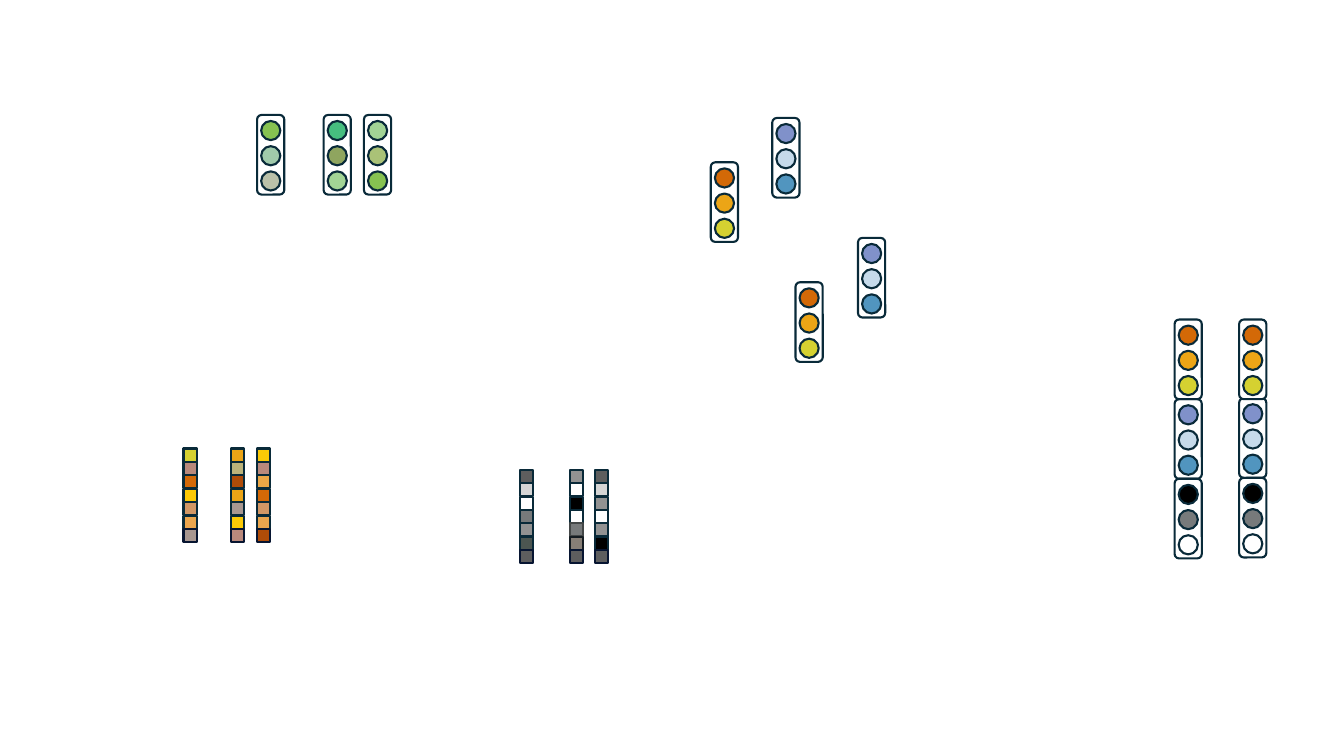
from pptx import Presentation
from pptx.dml.color import RGBColor
from pptx.enum.shapes import MSO_SHAPE as SHAPE
from pptx.util import Inches, Pt

WHITE = RGBColor(0xFF, 0xFF, 0xFF)
BLACK = RGBColor(0x00, 0x00, 0x00)
NAVY = RGBColor(0x09, 0x2A, 0x39)
MIDNIGHT = RGBColor(0x07, 0x15, 0x31)
GRAPHITE = RGBColor(0x43, 0x47, 0x47)
INK = RGBColor(0x15, 0x1D, 0x23)
GRASS = RGBColor(0x86, 0xC2, 0x51)
SAGE = RGBColor(0xA0, 0xCA, 0xAB)
STONE = RGBColor(0xBA, 0xC1, 0xA9)
JADE = RGBColor(0x46, 0xBE, 0x7F)
OLIVE = RGBColor(0x8F, 0xA5, 0x5F)
MINT = RGBColor(0xA2, 0xD4, 0x95)
MOSS = RGBColor(0xAA, 0xC2, 0x77)
ORANGE = RGBColor(0xD3, 0x69, 0x07)
AMBER = RGBColor(0xEC, 0xA5, 0x16)
LIME = RGBColor(0xD5, 0xD1, 0x31)
PERIWINKLE = RGBColor(0x80, 0x91, 0xCA)
ICE = RGBColor(0xC6, 0xDA, 0xEA)
BLUE = RGBColor(0x51, 0x95, 0xBF)
ROSE = RGBColor(0xB9, 0x89, 0x7C)
YELLOW = RGBColor(0xFB, 0xCA, 0x06)
TAN = RGBColor(0xD2, 0x97, 0x65)
APRICOT = RGBColor(0xEB, 0xA6, 0x4E)
HONEY = RGBColor(0xEB, 0xA7, 0x46)
TAUPE = RGBColor(0xA8, 0x97, 0x90)
KHAKI = RGBColor(0xBC, 0xB3, 0x7A)
RUST = RGBColor(0xAF, 0x4C, 0x08)
SILVER = RGBColor(0xD5, 0xD5, 0xD5)
GREY = RGBColor(0x92, 0x92, 0x92)
STEEL = RGBColor(0x77, 0x7A, 0x7B)
CHARCOAL = RGBColor(0x5E, 0x5E, 0x5E)
PEWTER = RGBColor(0x87, 0x7F, 0x77)
SLATE = RGBColor(0x4C, 0x56, 0x51)

WARM = (ORANGE, AMBER, LIME)
COOL = (PERIWINKLE, ICE, BLUE)
MONO = (BLACK, STEEL, WHITE)

CAPSULE_GROUPS = [
    [(2.55, 1.14, (GRASS, SAGE, STONE))],
    [(3.21, 1.14, (JADE, OLIVE, MINT))],
    [(3.61, 1.14, (MINT, MOSS, GRASS))],
    [(7.05, 1.61, WARM)],
    [(7.66, 1.17, COOL)],
    [(7.89, 2.8, WARM), (8.51, 2.36, COOL)],
    [(11.65, 3.96, COOL)],
    [(11.65, 3.17, WARM)],
    [(11.65, 4.75, MONO)],
    [(12.29, 3.95, COOL), (12.29, 3.17, WARM), (12.29, 4.74, MONO)],
]

STRIP_GROUPS = [
    (4.45, [
        (1.82, (LIME, ROSE, ORANGE, YELLOW, TAN, APRICOT, TAUPE)),
        (2.29, (AMBER, KHAKI, RUST, AMBER, TAUPE, YELLOW, ROSE)),
        (2.55, (YELLOW, ROSE, HONEY, ORANGE, TAN, APRICOT, RUST)),
    ]),
    (4.66, [
        (5.65, (GREY, WHITE, BLACK, WHITE, STEEL, PEWTER, CHARCOAL)),
        (5.9, (CHARCOAL, SILVER, GREY, WHITE, GREY, BLACK, CHARCOAL)),
        (5.16, (CHARCOAL, SILVER, WHITE, STEEL, GREY, SLATE, CHARCOAL)),
    ]),
]
CELL_BORDERS = {PEWTER: INK}
STEEL_CELL = (5.65, 4)

CAPSULE_W, CAPSULE_H = 0.27, 0.79
DOT, DOT_PITCH, DOT_LEFT, DOT_TOP = 0.19, 0.25, 0.04, 0.06
CELL, STRIP_SPAN = 0.13, 0.8


def add_box(group, kind, x, y, w, h, fill, border=NAVY):
    sp = group.shapes.add_shape(kind, Inches(x), Inches(y), Inches(w), Inches(h))
    sp.shadow.inherit = False
    sp.fill.solid()
    sp.fill.fore_color.rgb = fill
    sp.line.color.rgb = border
    sp.line.width = Pt(1.5)
    return sp


def add_capsule(group, x, y, colors):
    add_box(group, SHAPE.ROUNDED_RECTANGLE, x, y, CAPSULE_W, CAPSULE_H, WHITE)
    for i, color in enumerate(colors):
        add_box(group, SHAPE.OVAL, x + DOT_LEFT, y + DOT_TOP + i * DOT_PITCH,
                DOT, DOT, color)


def add_strip(group, x, y, colors):
    last = len(colors) - 1
    for i, color in enumerate(colors):
        if i == last:
            border = MIDNIGHT
        elif (x, i) == STEEL_CELL:
            border = GRAPHITE
        else:
            border = CELL_BORDERS.get(color, NAVY)
        sp = add_box(group, SHAPE.RECTANGLE, x, y + i * STRIP_SPAN / last,
                     CELL, CELL, color, border)
        sp.rotation = 90


def main():
    prs = Presentation()
    prs.slide_width, prs.slide_height = Inches(13.33), Inches(7.5)
    slide = prs.slides.add_slide(prs.slide_layouts[6])
    for capsules in CAPSULE_GROUPS:
        group = slide.shapes.add_group_shape()
        for x, y, colors in capsules:
            add_capsule(group, x, y, colors)
    for top, strips in STRIP_GROUPS:
        group = slide.shapes.add_group_shape()
        for x, colors in strips:
            add_strip(group, x, top, colors)
    prs.save("out.pptx")


if __name__ == "__main__":
    main()
